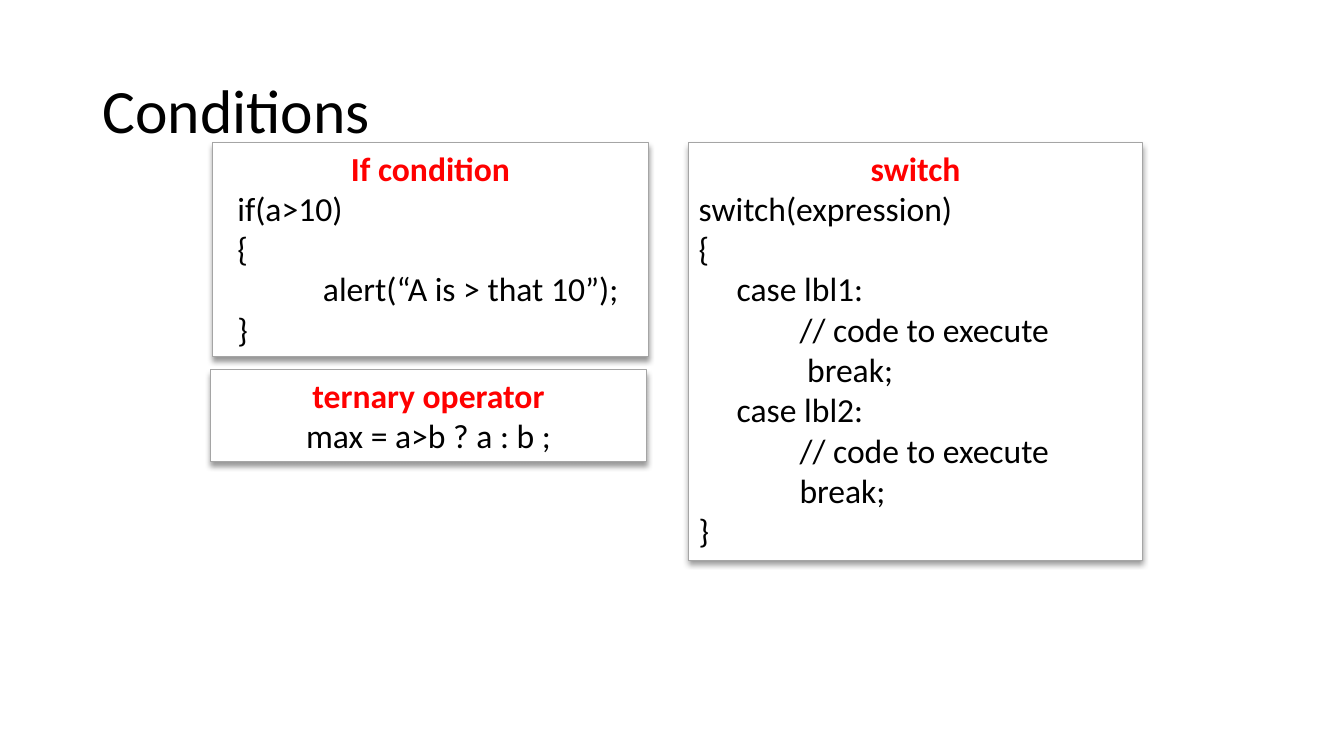
"""Build the Conditions slide: three code cards under a title."""
from lxml import etree
from pptx import Presentation
from pptx.dml.color import RGBColor
from pptx.enum.shapes import MSO_SHAPE
from pptx.enum.text import MSO_ANCHOR, MSO_AUTO_SIZE, PP_ALIGN
from pptx.oxml.ns import qn
from pptx.util import Cm, Pt

RECT = MSO_SHAPE.RECTANGLE
TOP, MIDDLE = MSO_ANCHOR.TOP, MSO_ANCHOR.MIDDLE
LEFT, CENTER = PP_ALIGN.LEFT, PP_ALIGN.CENTER
GROW = MSO_AUTO_SIZE.SHAPE_TO_FIT_TEXT

FONT = "Calibri"
TAB = Cm(2.54)
COLORS = {"text": "000000", "head": "FF0000", "card": "FFFFFF", "edge": "A5A5A5"}
TITLE = "Conditions"
TITLE_BOX = (2.33, 1.02, 29.21, 3.68)
CARDS = [
    {"box": (5.35, 3.59, 11, 5.38), "head": "If condition", "align": LEFT,
     "code": ["  if(a>10)", "  {", "\talert(“A is > that 10”);", "  }"]},
    {"box": (17.36, 3.59, 11.43, 10.52), "head": "switch", "align": LEFT,
     "code": ["switch(expression)", "{",
              "     case lbl1:", "      \t// code to execute", "  \t break;",
              "     case lbl2:", "      \t// code to execute", "   \tbreak;",
              "}"]},
    {"box": (5.3, 9.32, 11, 2.31), "head": "ternary operator", "align": CENTER,
     "code": ["max = a>b ? a : b ;"]},
]


def color(name):
    return RGBColor.from_string(COLORS[name])


def write(para, text, size, tone, align, bold=False):
    para.alignment = align
    if "\t" in text:
        stops = etree.SubElement(para._p.get_or_add_pPr(), qn("a:tabLst"))
        etree.SubElement(stops, qn("a:tab"), pos=str(TAB), algn="l")
    run = para.add_run()
    run.text = text
    run.font.name = FONT
    run.font.size = Pt(size)
    run.font.bold = bold
    run.font.color.rgb = color(tone)


def shade(shape):
    shape.shadow.inherit = False
    effects = shape._element.spPr.find(qn("a:effectLst"))
    outer = etree.SubElement(effects, qn("a:outerShdw"), blurRad=str(Pt(4)),
                             dist=str(Pt(3)), dir="5400000", rotWithShape="0")
    tint = etree.SubElement(outer, qn("a:srgbClr"), val=COLORS["text"])
    etree.SubElement(tint, qn("a:alpha"), val="40000")


def add_card(slide, card):
    shape = slide.shapes.add_shape(RECT, *map(Cm, card["box"]))
    shape.fill.solid()
    shape.fill.fore_color.rgb = color("card")
    shape.line.color.rgb = color("edge")
    shape.line.width = Pt(0.5)
    shade(shape)
    frame = shape.text_frame
    frame.word_wrap = True
    frame.auto_size = GROW
    frame.vertical_anchor = TOP
    write(frame.paragraphs[0], card["head"], 24, "head", CENTER, True)
    for line in card["code"]:
        write(frame.add_paragraph(), line, 24, "text", card["align"])


def main():
    deck = Presentation()
    deck.slide_width, deck.slide_height = Cm(33.87), Cm(19.05)
    slide = deck.slides.add_slide(deck.slide_layouts[5])
    title = slide.shapes.title
    title.left, title.top, title.width, title.height = map(Cm, TITLE_BOX)
    title.text_frame.vertical_anchor = MIDDLE
    para = title.text_frame.paragraphs[0]
    para.line_spacing = 0.9
    write(para, TITLE, 44, "text", LEFT)
    for card in CARDS:
        add_card(slide, card)
    deck.save("out.pptx")


if __name__ == "__main__":
    main()
